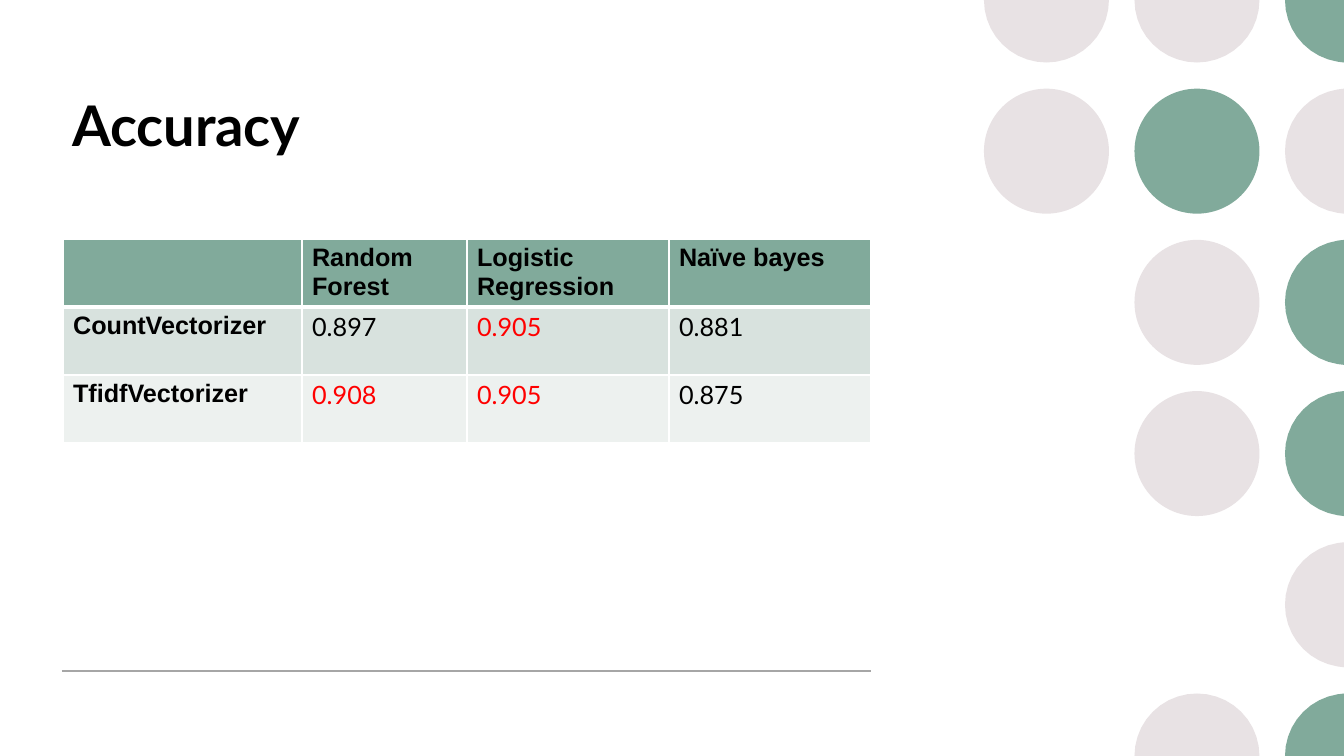
from math import cos, sin, tau

from lxml.etree import SubElement
from pptx import Presentation
from pptx.dml.color import RGBColor
from pptx.enum.shapes import MSO_CONNECTOR as LINE, MSO_SHAPE as SHAPE
from pptx.enum.text import MSO_ANCHOR as ANCHOR, PP_ALIGN as ALIGN
from pptx.oxml.ns import qn
from pptx.util import Emu, Pt

SCALE = 914400 / 100.8
W, H = 1344, 756
GREEN, PALE, BLACK, RED, WHITE = "81AA9B", "E8E2E4", "000000", "FF0000", "FFFFFF"
HEAD = dict(name="Arial", size=Pt(18), bold=True)
VALUE = dict(name="Lato", size=Pt(18), bold=False)
TITLE = dict(name="Lato", size=Pt(40), bold=True)


def px(n):
    return Emu(round(n * SCALE))


def rgb(color):
    return RGBColor.from_string(color)


def paint(target, color):
    target.fill.solid()
    target.fill.fore_color.rgb = rgb(color)


def write(tf, text, style, color=BLACK):
    p = tf.paragraphs[0]
    p.alignment = ALIGN.LEFT
    r = p.add_run()
    r.text = text
    for key, value in style.items():
        setattr(r.font, key, value)
    r.font.color.rgb = rgb(color)


def cut_outline(cx, cy, radius, steps=40):
    # Circle points held inside the slide, each straight side kept as its two ends
    angles = [tau * i / steps for i in range(steps)]
    points = list(dict.fromkeys(
        (px(min(cx + radius * cos(a), W)),
         px(min(max(cy + radius * sin(a), 0), H))) for a in angles))
    neighbours = zip(points[-1:] + points[:-1], points, points[1:] + points[:1])
    return [b for a, b, c in neighbours
            if not (a[0] == b[0] == c[0] or a[1] == b[1] == c[1])]


def add_circle(shapes, cx, cy, radius, color):
    if radius <= cy <= H - radius and cx + radius <= W:
        sp = shapes.add_shape(SHAPE.OVAL, px(cx - radius), px(cy - radius),
                              px(2 * radius), px(2 * radius))
    else:
        points = cut_outline(cx, cy, radius)
        builder = shapes.build_freeform(*points[0], scale=1.0)
        builder.add_line_segments(points[1:], close=True)
        sp = builder.convert_to_shape()
    paint(sp, color)
    sp.line.fill.background()
    sp.shadow.inherit = False


def add_circles(shapes, left, radius, pitch):
    # One string per row: P pale, G green, - empty
    pattern = ["PPG", "PGP", "-PG", "-PG", "--P", "-PG"]
    colors = {"P": PALE, "G": GREEN}
    for row, codes in enumerate(pattern):
        for col, code in enumerate(codes):
            if code in colors:
                add_circle(shapes, left + radius + col * pitch,
                           row * H / (len(pattern) - 1), radius, colors[code])


def add_title(slide, left, top, width, height):
    sp = slide.shapes.title
    box = dict(left=left, top=top, width=width, height=height)
    for key, value in box.items():
        setattr(sp, key, px(value))
    tf = sp.text_frame
    tf.word_wrap = True
    tf.vertical_anchor = ANCHOR.TOP
    write(tf, "Accuracy", TITLE)


def add_rule(shapes, left, top, width):
    rule = shapes.add_connector(LINE.STRAIGHT, px(left), px(top),
                                px(left + width), px(top))
    rule.line.color.rgb = rgb("A6A6A6")
    rule.line.width = Pt(1)
    SubElement(rule._element.spPr, qn("a:effectLst"))


def add_borders(cell, bottom):
    tcPr = cell._tc.get_or_add_tcPr()
    widths = dict(lnL=1, lnR=1, lnT=1, lnB=bottom)
    for i, (side, width) in enumerate(widths.items()):
        ln = tcPr.makeelement(qn(f"a:{side}"), {"w": str(Pt(width))})
        fill = SubElement(ln, qn("a:solidFill"))
        SubElement(fill, qn("a:srgbClr"), val=WHITE)
        tcPr.insert(i, ln)


def add_scores(shapes, left, top, row_height):
    rows = [
        ["", "Random Forest", "Logistic Regression", "Naïve bayes"],
        ["CountVectorizer", "0.897", "0.905", "0.881"],
        ["TfidfVectorizer", "0.908", "0.905", "0.875"],
    ]
    fills = [GREEN, "D8E2DE", "EDF1EF"]
    widths = [239, 165, 202, 202]
    table = shapes.add_table(len(rows), len(widths), px(left), px(top),
                             px(sum(widths)), px(row_height * len(rows))).table
    for column, width in zip(table.columns, widths):
        column.width = px(width)
    for i, texts in enumerate(rows):
        table.rows[i].height = px(row_height)
        for j, text in enumerate(texts):
            cell = table.cell(i, j)
            paint(cell, fills[i])
            add_borders(cell, bottom=1 if i else 3)
            is_value = i > 0 and j > 0
            # Scores above 0.9 stand out in red
            color = RED if is_value and float(text) > 0.9 else BLACK
            if text:
                write(cell.text_frame, text, VALUE if is_value else HEAD, color)


def add_accuracy_slide(prs):
    slide = prs.slides.add_slide(prs.slide_layouts[5])
    paint(slide.background, WHITE)
    add_circles(slide.shapes, 984, 62.5, 150.5)
    add_rule(slide.shapes, 62, 671, 809)
    add_title(slide, 62, 85, 809, 140)
    add_scores(slide.shapes, 63, 239, 68)


prs = Presentation()
prs.slide_width, prs.slide_height = px(W), px(H)
add_accuracy_slide(prs)
prs.save("out.pptx")
